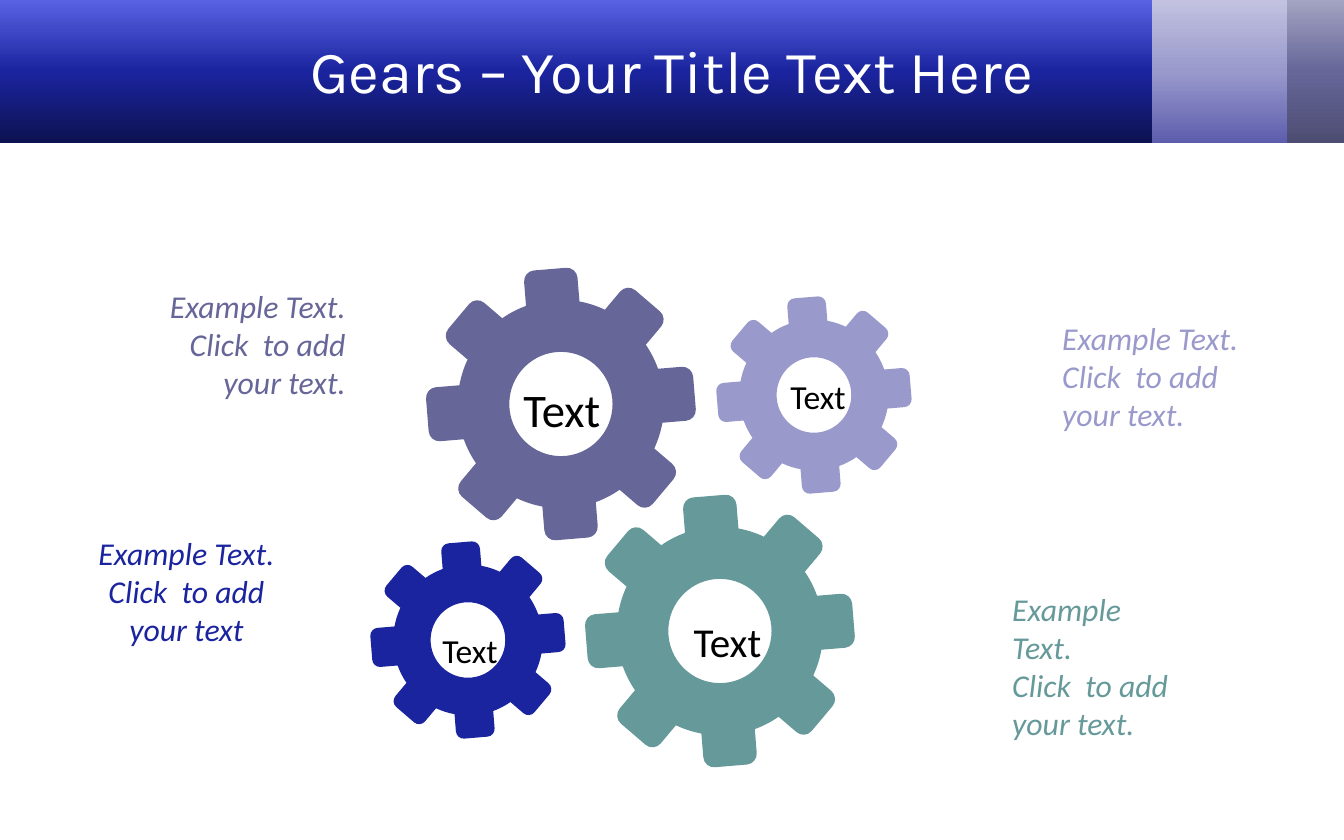
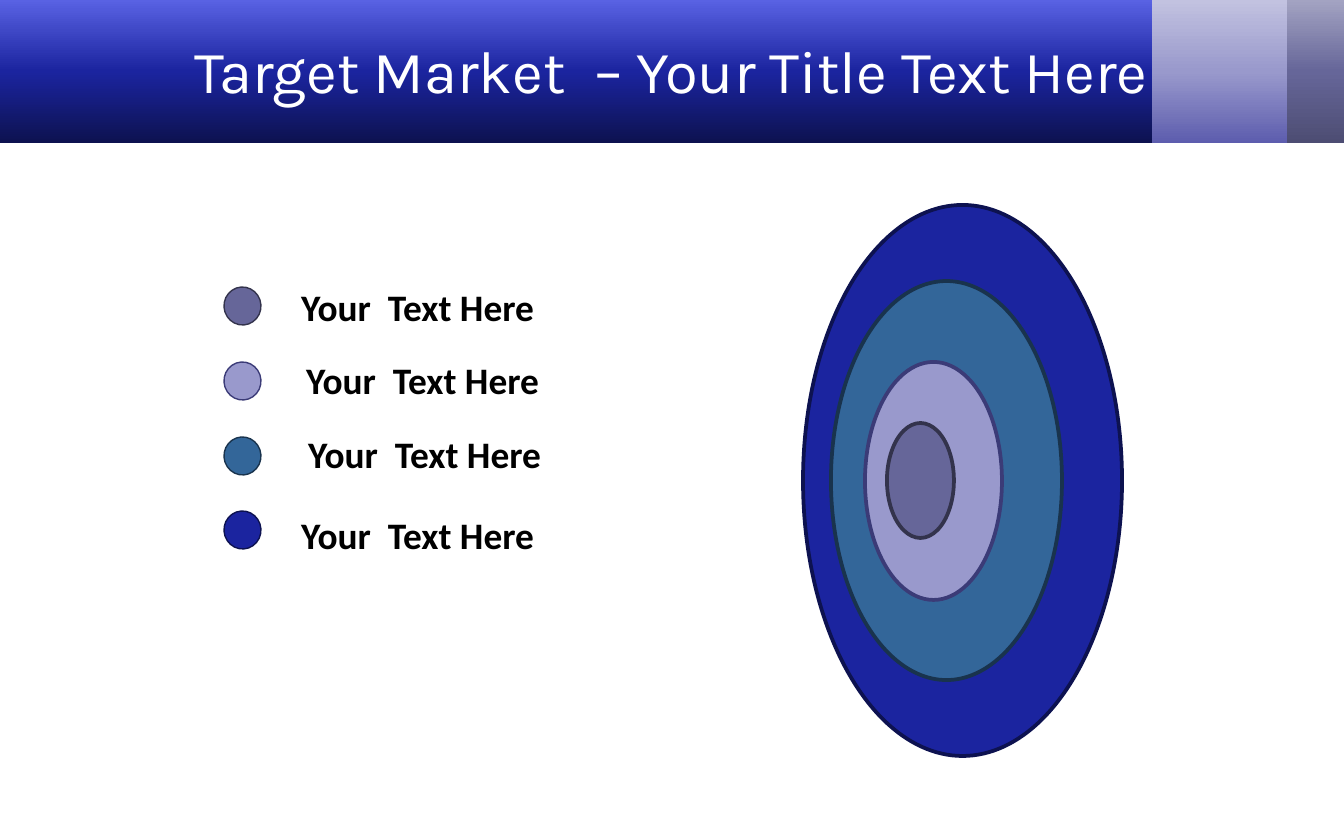
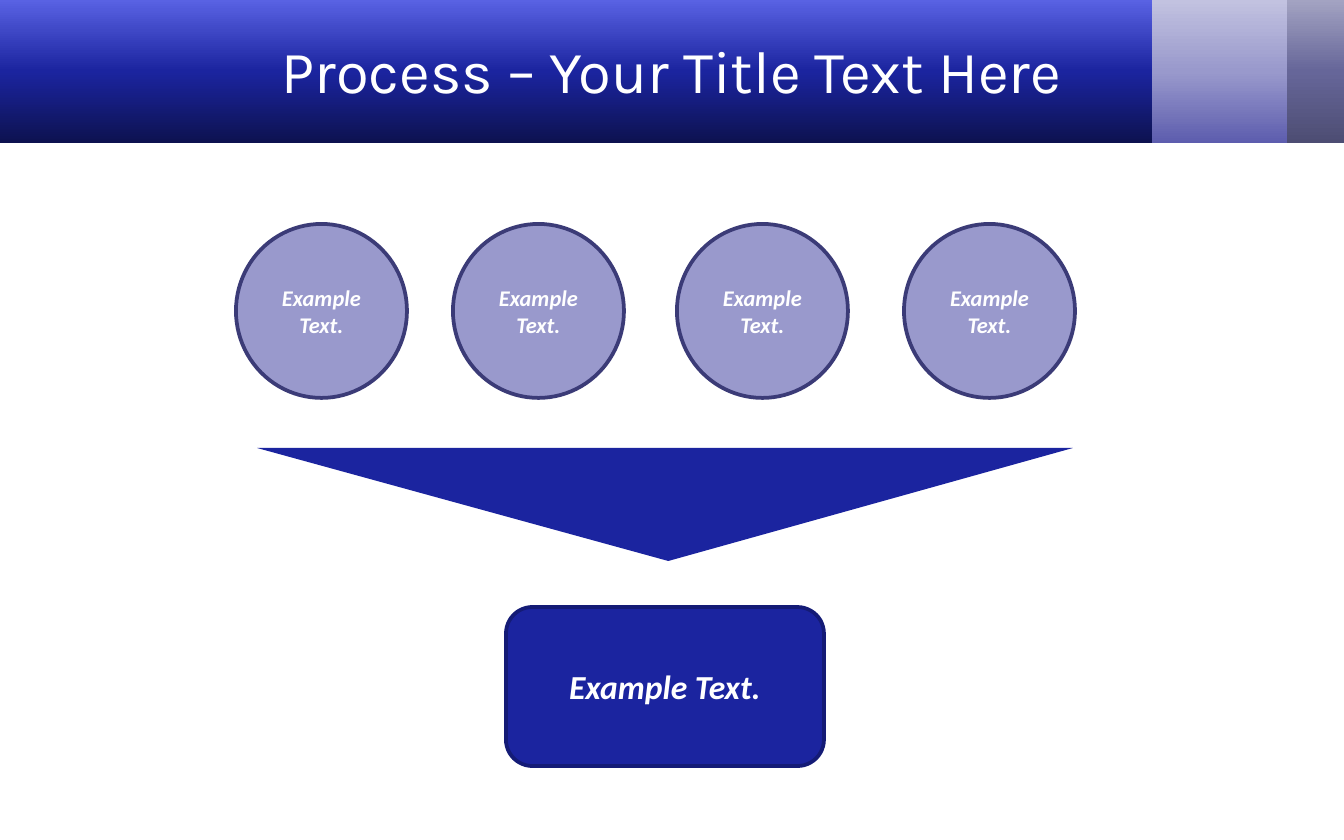
import math

import pptx
import pptx.dml.color
import pptx.enum.shapes
import pptx.enum.text
import pptx.oxml
import pptx.oxml.ns
import pptx.util

PX = 914400 / 134.4
WIDTH, HEIGHT = 1344, 840

# Palette and fonts
NAVY, STEEL, LILAC, SLATE, TEAL = "1B249F", "336699", "9999CC", "666699", "669999"
NAVY_EDGE, STEEL_EDGE, LILAC_EDGE, SLATE_EDGE = "0D1250", "19334D", "3B3B77", "33334C"
BOX_EDGE, WHITE, BLACK = "141B76", "FFFFFF", "000000"
TITLE_FONT, BODY_FONT = "Karla", "Calibri"

SHAPE = pptx.enum.shapes.MSO_SHAPE
ALIGN = {"l": pptx.enum.text.PP_ALIGN.LEFT, "c": pptx.enum.text.PP_ALIGN.CENTER,
         "r": pptx.enum.text.PP_ALIGN.RIGHT}

# Header bands: left, width, gradient from bottom to top
BAND_HEIGHT = 143
BANDS = [
    (1267, 77, ("4D4D73", SLATE, "A3A3C2")),
    (1146, 141, ("5D5DAE", LILAC, "C2C2E0")),
    (0, 1152, (NAVY_EDGE, NAVY, "5962E3")),
]
TITLE_BOX = (67, 11, 1210, 118)

# Gears: centre x, centre y, outer radius, colour
GEARS = [
    (468, 640, 97, NAVY),
    (814, 395, 97, LILAC),
    (561, 404, 134, SLATE),
    (720, 631, 134, TEAL),
]
TEETH, TILT, STRETCH = 8, -4.7, 1.01
GEAR_LABELS = [  # box, size
    ((504, 374, 116, 70), 25),
    ((773, 369, 90, 54), 18),
    ((661, 610, 133, 63), 22),
    ((425, 623, 90, 54), 18),
]
CLICK = "Click  to add your text"
GEAR_NOTES = [  # box, alignment, colour, second line
    ((1049, 312, 216, 129), "l", LILAC, CLICK + "."),
    ((999, 583, 188, 168), "l", TEAL, CLICK + "."),
    ((142, 280, 217, 129), "r", SLATE, CLICK + "."),
    ((78, 527, 217, 129), "c", NAVY, CLICK),
]

# Target rings: box, fill, line
RINGS = [
    ((803, 205, 319, 551), NAVY, NAVY_EDGE),
    ((831, 281, 231, 399), STEEL, STEEL_EDGE),
    ((865, 362, 137, 238), LILAC, LILAC_EDGE),
    ((887, 423, 67, 115), SLATE, SLATE_EDGE),
]
LEGEND = [  # text left, text top, dot top; inner ring first
    (288, 270, 287),
    (293, 343, 362),
    (295, 417, 437),
    (288, 498, 511),
]
LEGEND_TEXT = "Your  Text Here"

# Process
STEP_LEFTS = (236, 453, 677, 904)
STEP_TEXT = "Example Text."


def color(value):
    return pptx.dml.color.RGBColor.from_string(value)


def px(*values):
    return [pptx.util.Emu(round(v * PX)) for v in values]


def style(sp, fill, line=None, weight=2):
    sp.shadow.inherit = False
    sp.fill.solid()
    sp.fill.fore_color.rgb = color(fill)
    if line:
        sp.line.color.rgb = color(line)
        sp.line.width = pptx.util.Pt(weight)
    else:
        sp.line.fill.background()
    return sp


def add_shape(slide, kind, box, fill, line=None, weight=2):
    return style(slide.shapes.add_shape(kind, *px(*box)), fill, line, weight)


def write(sp, lines, size, rgb, align="c", font=BODY_FONT, bold=False, italic=False,
          middle=False):
    tf = sp.text_frame
    tf.word_wrap = True
    anchor = pptx.enum.text.MSO_ANCHOR
    tf.vertical_anchor = anchor.MIDDLE if middle else anchor.TOP
    for i, line in enumerate(lines):
        p = tf.add_paragraph() if i else tf.paragraphs[0]
        p.alignment = ALIGN[align]
        r = p.add_run()
        r.text = line
        r.font.name, r.font.size = font, pptx.util.Pt(size)
        r.font.bold, r.font.italic = bold, italic
        r.font.color.rgb = color(rgb)
    return tf


def add_text(slide, box, lines, size, rgb, **options):
    return write(slide.shapes.add_textbox(*px(*box)), lines, size, rgb, **options)


def set_gradient(sp, colors):
    sp.fill.gradient()
    sp.fill.gradient_angle = 90
    qn = pptx.oxml.ns.qn
    stops = sp._element.spPr.find(".//" + qn("a:gsLst"))
    for stop in list(stops):
        stops.remove(stop)
    for i, value in enumerate(colors):
        stops.append(pptx.oxml.parse_xml(
            f'<a:gs {pptx.oxml.ns.nsdecls("a")} pos="{i * 50000}">'
            f'<a:srgbClr val="{value}"/></a:gs>'))


def new_slide(prs, title):
    slide = prs.slides.add_slide(prs.slide_layouts[6])
    for left, width, colors in BANDS:
        sp = add_shape(slide, SHAPE.RECTANGLE, (left, 0, width, BAND_HEIGHT), colors[1])
        set_gradient(sp, colors)
    add_text(slide, TITLE_BOX, [title], 32, WHITE, font=TITLE_FONT, middle=True)
    return slide


def arc(cx, cy, radius, start, end):
    """Two control points and the end point of a circular arc."""
    a, b = math.radians(start), math.radians(end)
    k = 4 / 3 * math.tan((b - a) / 4)
    return [(cx + radius * (math.cos(a) - k * math.sin(a)),
             cy + radius * (math.sin(a) + k * math.cos(a))),
            (cx + radius * (math.cos(b) + k * math.sin(b)),
             cy + radius * (math.sin(b) - k * math.cos(b))),
            (cx + radius * math.cos(b), cy + radius * math.sin(b))]


def rotate(point, degrees):
    c, s = math.cos(math.radians(degrees)), math.sin(math.radians(degrees))
    return point[0] * c - point[1] * s, point[0] * s + point[1] * c


def bend(sp, segments):
    """Turn the line segments that have control points into curves."""
    qn = pptx.oxml.ns.qn
    lines = list(sp._element.iter(qn("a:lnTo")))
    for line, segment in zip(lines, segments):
        if len(segment) == 3:
            points = "".join(f'<a:pt x="{x - sp.left}" y="{y - sp.top}"/>'
                             for x, y in segment)
            curve = pptx.oxml.parse_xml(
                f'<a:cubicBezTo {pptx.oxml.ns.nsdecls("a")}>{points}</a:cubicBezTo>')
            line.getparent().replace(line, curve)


def add_gear(slide, cx, cy, radius, fill):
    half, body, hole, corner = (radius * k for k in (0.2, 0.77, 0.385, 0.08))
    root = math.degrees(math.asin(half / body))
    pitch = 360 / TEETH
    start = (radius - corner, -half)
    # One tooth pointing right, then the valley up to the next tooth
    tooth = [
        arc(radius - corner, corner - half, corner, -90, 0),
        [(radius, half - corner)],
        arc(radius - corner, half - corner, corner, 0, 90),
        [(body * math.cos(math.radians(root)), half)],
        arc(0, 0, body, root, pitch - root),
        [rotate(start, pitch)],
    ]

    def place(point):
        return px(cx + point[0], cy + point[1] * STRETCH)

    rim = [[place(rotate(point, TILT + i * pitch)) for point in segment]
           for i in range(TEETH) for segment in tooth]
    bore = [[place(point) for point in arc(0, 0, hole, a, a - 90)]
            for a in (360, 270, 180, 90)]
    builder = slide.shapes.build_freeform(*place(rotate(start, TILT)))
    builder.add_line_segments([segment[-1] for segment in rim])
    builder.move_to(*place((hole, 0)))
    builder.add_line_segments([segment[-1] for segment in bore])
    sp = style(builder.convert_to_shape(), fill)
    bend(sp, rim + bore)


def gears_slide(prs):
    slide = new_slide(prs, "Gears – Your Title Text Here")
    for gear in GEARS:
        add_gear(slide, *gear)
    for box, size in GEAR_LABELS:
        add_text(slide, box, ["Text"], size, BLACK)
    for box, align, rgb, second in GEAR_NOTES:
        add_text(slide, box, ["Example Text.", second], 17, rgb, align=align, italic=True)


def target_slide(prs):
    slide = new_slide(prs, "Target Market  – Your Title Text Here")
    for box, fill, line in RINGS:
        add_shape(slide, SHAPE.OVAL, box, fill, line)
    for (left, top, dot_top), (_, fill, line) in zip(LEGEND, reversed(RINGS)):
        tf = add_text(slide, (left, top, 400, 66), [LEGEND_TEXT], 20, BLACK,
                      align="l", bold=True, middle=True)
        tf.margin_top = pptx.util.Inches(0.1)
        dot = add_shape(slide, SHAPE.OVAL, (224, dot_top, 37, 38), fill, line, 0.75)
        dot.rotation = 355.8


def process_slide(prs):
    slide = new_slide(prs, "Process – Your Title Text Here")
    funnel = add_shape(slide, SHAPE.ISOSCELES_TRIANGLE, (257, 448, 816, 113), NAVY)
    funnel.rotation = 180
    funnel.adjustments[0] = 0.496
    for left in STEP_LEFTS:
        step = add_shape(slide, SHAPE.OVAL, (left, 224, 171, 174), LILAC, LILAC_EDGE)
        write(step, [STEP_TEXT], 12, WHITE, bold=True, italic=True, middle=True)
    result = add_shape(slide, SHAPE.ROUNDED_RECTANGLE, (506, 607, 318, 159), NAVY, BOX_EDGE)
    write(result, [STEP_TEXT], 18, WHITE, bold=True, italic=True, middle=True)


def main():
    prs = pptx.Presentation()
    prs.slide_width, prs.slide_height = px(WIDTH, HEIGHT)
    gears_slide(prs)
    target_slide(prs)
    process_slide(prs)
    prs.save("out.pptx")


if __name__ == "__main__":
    main()
